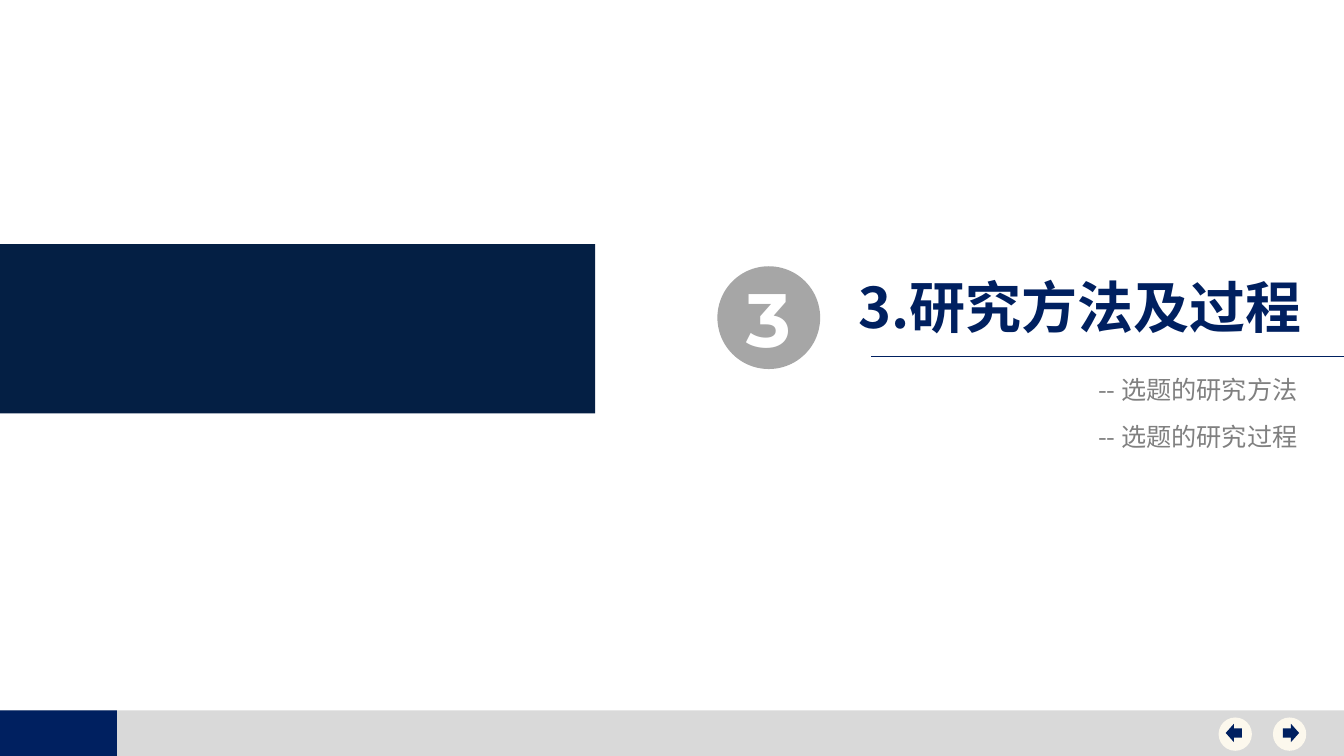
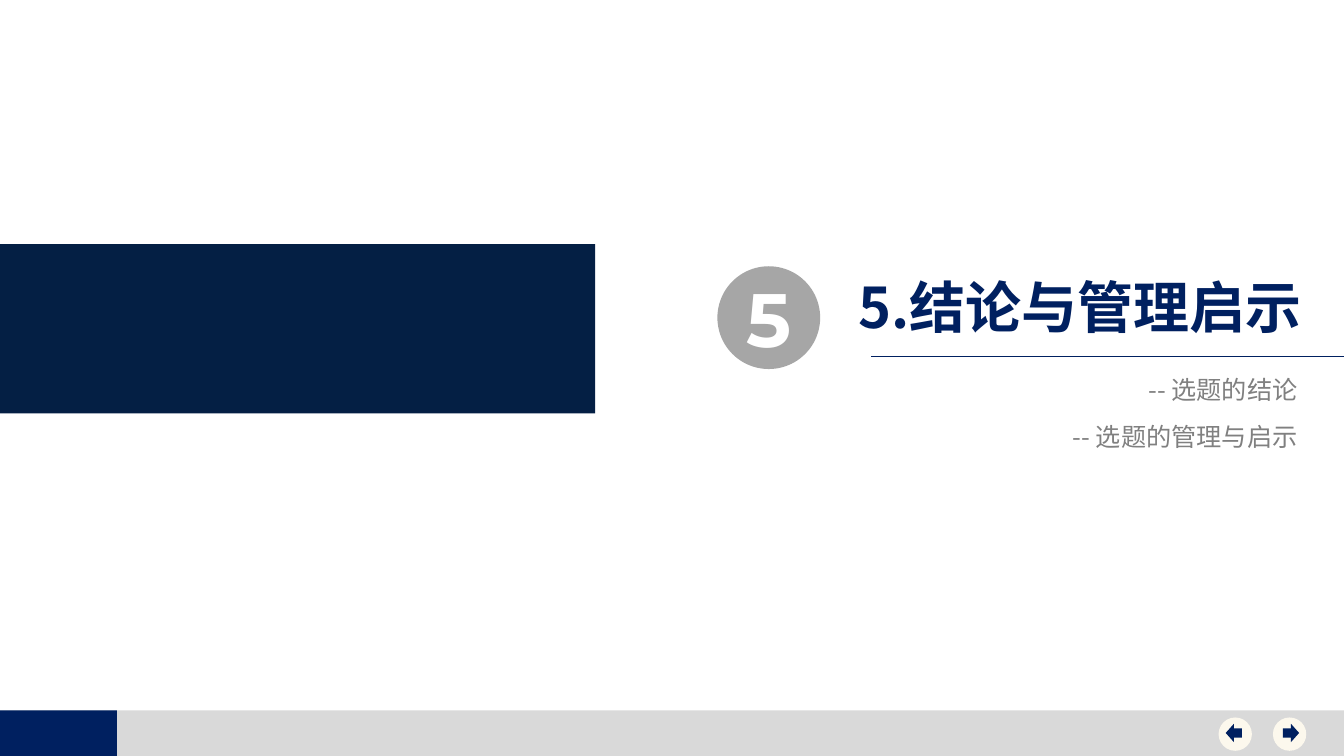
from lxml import etree
from pptx import Presentation
from pptx import util as u
from pptx.dml.color import RGBColor
from pptx.enum import shapes, text
from pptx.oxml.ns import qn

NAVY = RGBColor(0x00, 0x20, 0x60)
DEEP = RGBColor(0x04, 0x1F, 0x44)
SILVER = RGBColor(0xD9, 0xD9, 0xD9)
GRAY = RGBColor(0xA6, 0xA6, 0xA6)
SLATE = RGBColor(0x80, 0x80, 0x80)
CREAM = RGBColor(0xFC, 0xF8, 0xED)
WHITE = RGBColor(0xFF, 0xFF, 0xFF)
HAN = "Noto Sans CJK SC"
LATIN = "Montserrat"
WIDE, HIGH = 33.87, 19.05
KIND = shapes.MSO_SHAPE
ALIGN = text.PP_ALIGN

PARTS = [
    ("3", "研究方法及过程", ["选题的研究方法", "选题的研究过程"]),
    ("5", "结论与管理启示", ["选题的结论", "选题的管理与启示"]),
]


class Deck:
    def __init__(self):
        self.prs = Presentation()
        self.prs.slide_width = u.Cm(WIDE)
        self.prs.slide_height = u.Cm(HIGH)
        self.slide = None

    def start(self):
        self.slide = self.prs.slides.add_slide(self.prs.slide_layouts[5])

    def shape(self, kind, x, y, w, h, fill):
        item = self.slide.shapes.add_shape(kind, u.Cm(x), u.Cm(y), u.Cm(w), u.Cm(h))
        item.shadow.inherit = False
        item.fill.solid()
        item.fill.fore_color.rgb = fill
        item.line.fill.background()
        return item

    def rule(self, x, y, end):
        line = self.slide.shapes.add_connector(
            shapes.MSO_CONNECTOR.STRAIGHT, u.Cm(x), u.Cm(y), u.Cm(end), u.Cm(y))
        line.line.color.rgb = NAVY
        line.line.width = u.Pt(0.5)
        etree.SubElement(line._element.spPr, qn("a:effectLst"))

    def label(self, frame, words, size, color, bold=False, face=HAN, align=ALIGN.RIGHT):
        frame.text = words
        frame.word_wrap = True
        para = frame.paragraphs[0]
        para.alignment = align
        for run in para.runs:
            font = run.font
            font.size, font.bold, font.name = u.Pt(size), bold, face
            font.color.rgb = color
            etree.SubElement(run._r.get_or_add_rPr(), qn("a:ea"), typeface=face)

    def title(self, words):
        head = self.slide.shapes.title
        head.left, head.top = u.Cm(20.57), u.Cm(6.73)
        head.width, head.height = u.Cm(12.47), u.Cm(1.96)
        frame = head.text_frame
        frame.vertical_anchor = text.MSO_ANCHOR.TOP
        frame.auto_size = text.MSO_AUTO_SIZE.SHAPE_TO_FIT_TEXT
        self.label(frame, words, 40, NAVY, True)

    def note(self, words, y):
        box = self.slide.shapes.add_textbox(u.Cm(21.95), u.Cm(y), u.Cm(11), u.Cm(1.02))
        box.text_frame.auto_size = text.MSO_AUTO_SIZE.SHAPE_TO_FIT_TEXT
        self.label(box.text_frame, words, 18, SLATE)

    def badge(self, digit):
        frame = self.shape(KIND.OVAL, 18.08, 6.71, 2.59, 2.59, GRAY).text_frame
        frame.margin_left = frame.margin_right = 0
        frame.margin_top = frame.margin_bottom = 0
        frame.vertical_anchor = text.MSO_ANCHOR.MIDDLE
        self.label(frame, digit, 54, WHITE, True, LATIN, ALIGN.CENTER)

    def button(self, kind, x, inset):
        self.shape(KIND.OVAL, x, 18.08, 0.84, 0.84, CREAM)
        self.shape(kind, x + inset, 18.24, 0.41, 0.46, NAVY)

    def footer(self):
        top = 17.9
        for width, fill in ((WIDE, SILVER), (2.95, NAVY)):
            self.shape(KIND.RECTANGLE, 0, top, width, HIGH - top, fill)
        self.button(KIND.LEFT_ARROW, 30.71, 0.18)
        self.button(KIND.RIGHT_ARROW, 32.08, 0.25)

    def section(self, digit, name, notes):
        self.start()
        self.footer()
        self.title(f"{digit}.{name}")
        self.rule(21.95, 8.99, WIDE)
        for row, words in enumerate(notes):
            self.note(f"-- {words}", 9.3 + 1.19 * row)
        self.badge(digit)
        self.shape(KIND.RECTANGLE, 0, 6.15, 15, 4.27, DEEP)


def main():
    deck = Deck()
    for part in PARTS:
        deck.section(*part)
    deck.prs.save("out.pptx")


if __name__ == "__main__":
    main()
